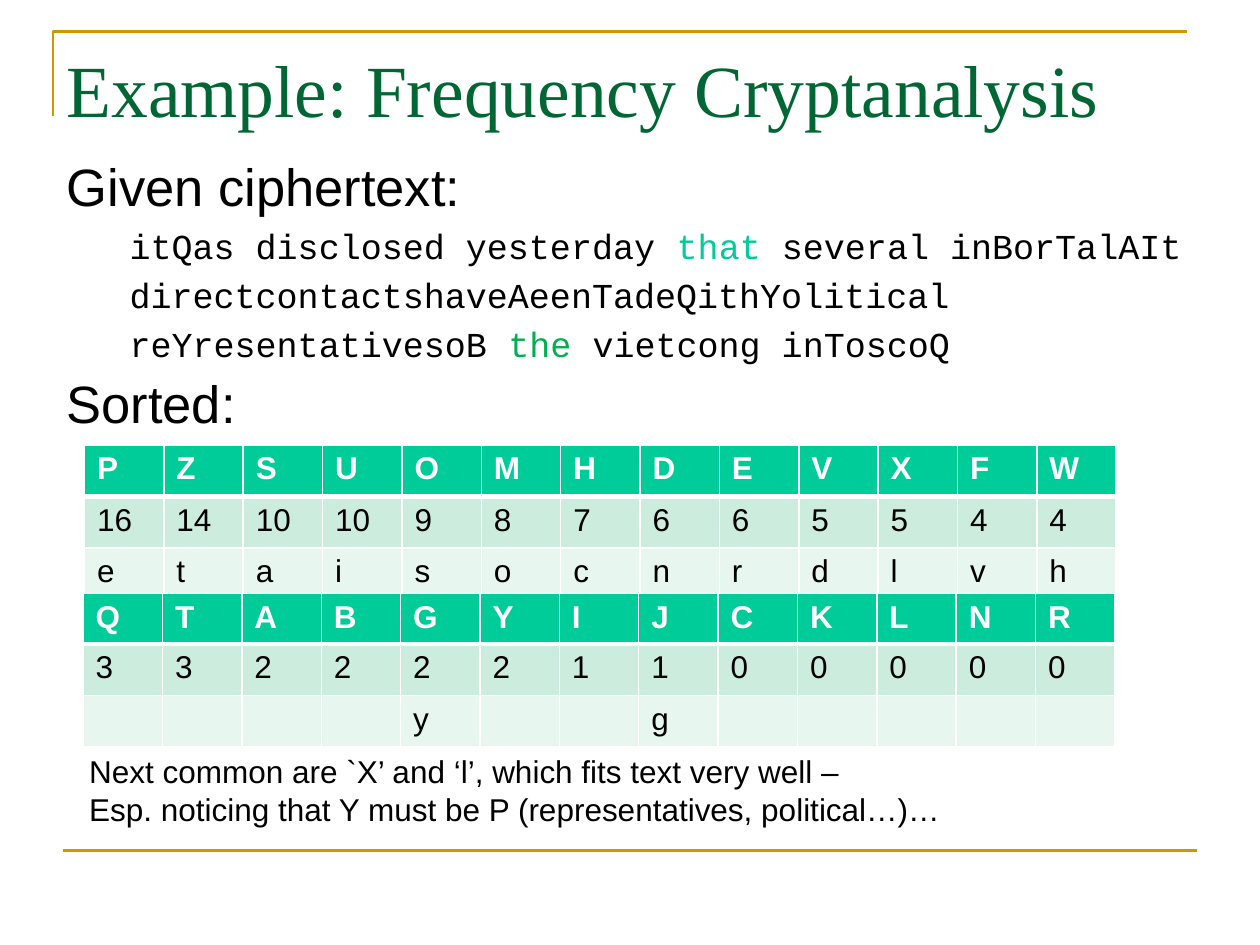
from dataclasses import dataclass

from lxml.etree import SubElement
from pptx import Presentation
from pptx.dml.color import RGBColor
from pptx.enum.shapes import MSO_CONNECTOR
from pptx.enum.text import MSO_ANCHOR
from pptx.oxml import parse_xml
from pptx.oxml.ns import nsdecls, qn
from pptx.util import Inches, Pt


@dataclass(frozen=True)
class Theme:
    title_font: str = "Times New Roman"
    text_font: str = "Arial"
    code_font: str = "Courier New"
    title_size: float = 42
    heading_size: float = 30
    code_size: float = 20
    small_size: float = 18
    title: str = "006633"
    rule: str = "CC9900"
    ink: str = "000000"
    paper: str = "FFFFFF"
    accent: str = "00CC99"
    found: str = "00B050"
    bands: tuple[str, ...] = ("00CC99", "CCECDE", "E7F6EF")


THEME = Theme()


@dataclass(frozen=True)
class Span:
    text: str
    size: float = THEME.small_size
    font: str = THEME.text_font
    color: str = THEME.ink
    bold: bool = False


@dataclass(frozen=True)
class Para:
    spans: tuple[Span, ...]
    margin: float = 0
    indent: float = 0
    layout: tuple[tuple[str, object], ...] = ()


@dataclass(frozen=True)
class FrequencyTable:
    left: float
    top: float
    header_height: float
    letters: str
    counts: tuple[int, ...]
    guesses: str


def add_span(paragraph, span: Span) -> None:
    run = paragraph.add_run()
    run.text = span.text
    formats = {"size": Pt(span.size), "name": span.font, "bold": span.bold}
    for name, value in formats.items():
        setattr(run.font, name, value)
    run.font.color.rgb = RGBColor.from_string(span.color)


def add_text(page, left: float, top: float, width: float, height: float,
             paras: list[Para], wrap: bool = True) -> None:
    box = page.shapes.add_textbox(*map(Inches, (left, top, width, height)))
    frame = box.text_frame
    frame.word_wrap = wrap
    frame.vertical_anchor = MSO_ANCHOR.TOP
    for index, para in enumerate(paras):
        paragraph = frame.add_paragraph() if index else frame.paragraphs[0]
        for name, value in para.layout:
            setattr(paragraph, name, value)
        properties = paragraph._p.get_or_add_pPr()
        properties.set("marL", str(Inches(para.margin)))
        properties.set("indent", str(Inches(para.indent)))
        for span in para.spans:
            add_span(paragraph, span)


def heading(text: str) -> Para:
    layout = (("line_spacing", 0.9), ("space_before", Pt(7.5)))
    return Para((Span(text, THEME.heading_size),), 0.38, -0.38, layout)


def code_line(*parts: tuple[str, str]) -> Para:
    layout = (("level", 1), ("line_spacing", 0.9), ("space_before", Pt(6.5)))
    spans = tuple(Span(text, THEME.code_size, THEME.code_font, color)
                  for text, color in parts)
    return Para(spans, 0.81, -0.31, layout)


def style_rule(shape) -> None:
    shape.line.color.rgb = RGBColor.from_string(THEME.rule)
    shape.line.width = Pt(1.5)


def add_rules(page) -> None:
    builder = page.shapes.build_freeform(Inches(0.42), Inches(0.92))
    builder.add_line_segments(
        [(Inches(0.42), Inches(0.25)), (Inches(9.42), Inches(0.25))], close=False)
    corner = builder.convert_to_shape()
    corner.fill.background()
    corner.shadow.inherit = False
    style_rule(corner)
    footer = page.shapes.add_connector(
        MSO_CONNECTOR.STRAIGHT, Inches(0.5), Inches(6.75), Inches(9.5), Inches(6.75))
    style_rule(footer)
    SubElement(footer._element.spPr, qn("a:effectLst"))


def set_borders(cell, top: float, bottom: float) -> None:
    properties = cell._tc.get_or_add_tcPr()
    widths = {"lnL": 1, "lnR": 1, "lnT": top, "lnB": bottom}
    for index, (tag, width) in enumerate(widths.items()):
        properties.insert(index, parse_xml(
            f'<a:{tag} {nsdecls("a")} w="{Pt(width)}"><a:solidFill>'
            f'<a:srgbClr val="{THEME.paper}"/></a:solidFill></a:{tag}>'))


def add_frequency_table(page, spec_table: FrequencyTable) -> None:
    rows = (spec_table.letters, spec_table.counts, spec_table.guesses)
    heights = (spec_table.header_height, 0.41, 0.41)
    columns = len(spec_table.letters)
    table = page.shapes.add_table(
        len(rows), columns, Inches(spec_table.left), Inches(spec_table.top),
        Inches(0.63 * columns), Inches(sum(heights))).table
    for column in table.columns:
        column.width = Inches(0.63)
    for row, values in enumerate(rows):
        table.rows[row].height = Inches(heights[row])
        header = row == 0
        for column, value in enumerate(values):
            cell = table.cell(row, column)
            cell.fill.solid()
            cell.fill.fore_color.rgb = RGBColor.from_string(THEME.bands[row])
            set_borders(cell, 3 if row == 1 else 1, 3 if header else 1)
            text = str(value).strip()
            if text:
                color = THEME.paper if header else THEME.ink
                add_span(cell.text_frame.paragraphs[0],
                         Span(text, color=color, bold=header))


def main() -> None:
    deck = Presentation()
    deck.slide_width, deck.slide_height = Inches(10), Inches(7.5)
    page = deck.slides.add_slide(deck.slide_layouts[6])
    add_rules(page)
    add_text(page, 0.43, 0.3, 9.07, 1.5, [Para((Span(
        "Example: Frequency Cryptanalysis", THEME.title_size,
        THEME.title_font, THEME.title),))])
    add_text(page, 0.43, 1.23, 9.42, 2.3, [
        heading("Given ciphertext:"),
        code_line(("itQas disclosed yesterday ", THEME.ink), ("that ", THEME.accent),
                  ("several inBorTalAIt", THEME.ink)),
        code_line(("directcontactshaveAeenTadeQithYolitical", THEME.ink)),
        code_line(("reYresentativesoB ", THEME.ink), ("the ", THEME.found),
                  ("vietcong inToscoQ", THEME.ink)),
        heading("Sorted:"),
    ])
    tables = (
        FrequencyTable(0.67, 3.53, 0.41, "PZSUOMHDEVXFW",
                       (16, 14, 10, 10, 9, 8, 7, 6, 6, 5, 5, 4, 4), "etaisocnrdlvh"),
        FrequencyTable(0.66, 4.71, 0.38, "QTABGYIJCKLNR",
                       (3, 3, 2, 2, 2, 2, 1, 1, 0, 0, 0, 0, 0), "    y  g     "),
    )
    for table in tables:
        add_frequency_table(page, table)
    add_text(page, 0.61, 5.92, 6.98, 0.71, [
        Para((Span("Next common are `X’ and ‘l’, which fits text very well –"),)),
        Para((Span("Esp. noticing that Y must be P (representatives, political…)…"),)),
    ], wrap=False)
    deck.save("out.pptx")


if __name__ == "__main__":
    main()
